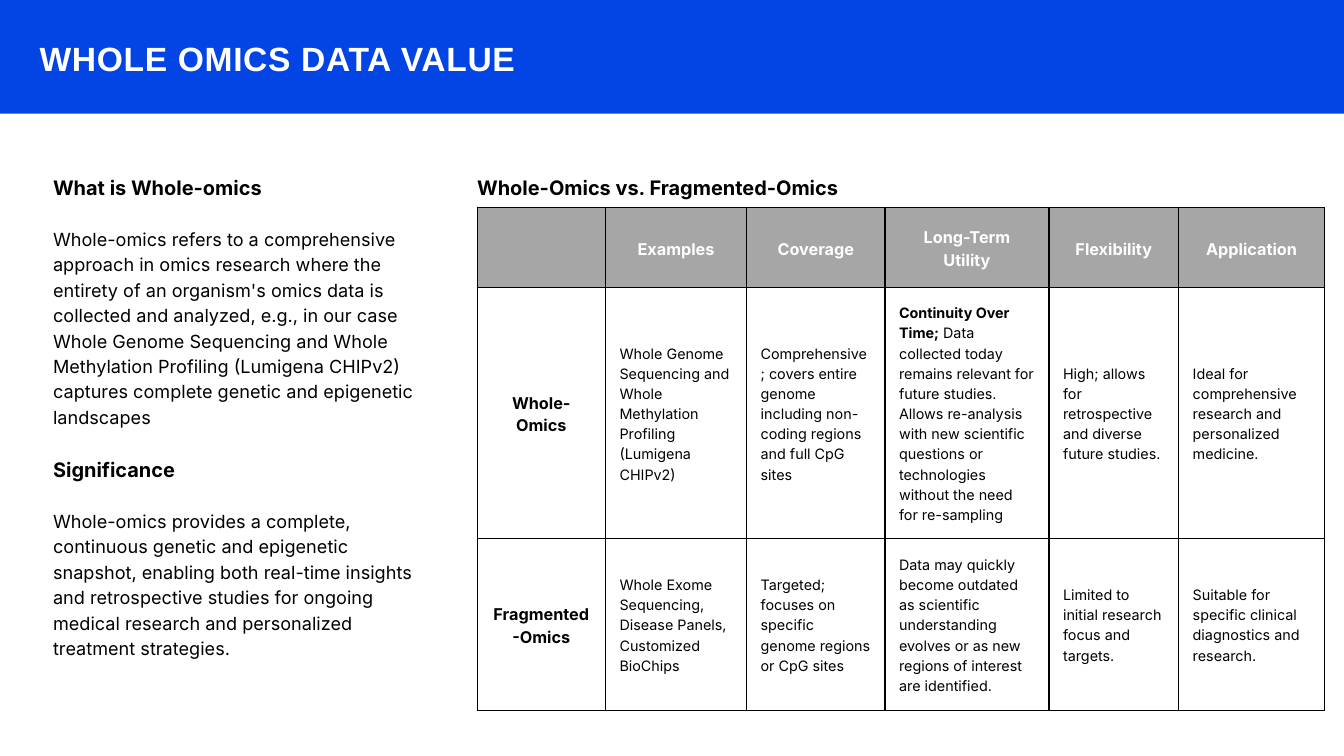
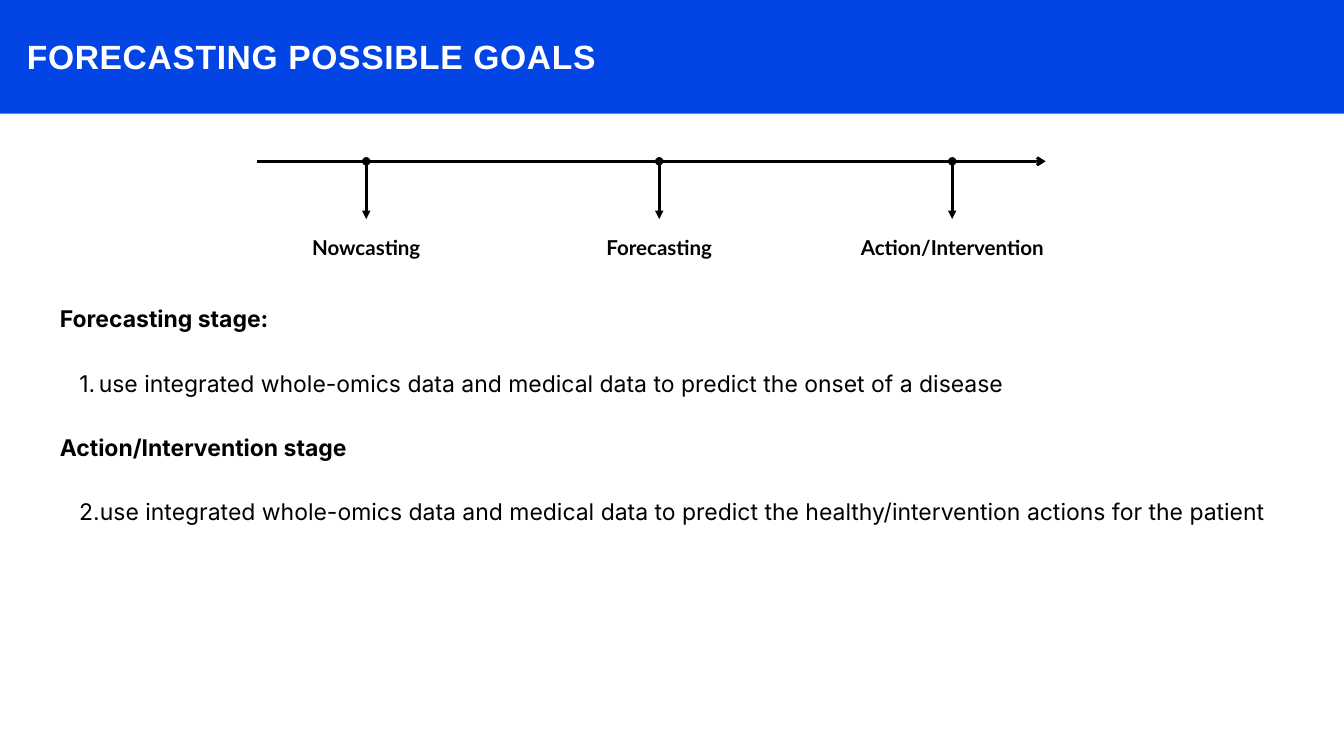
from lxml.etree import SubElement
from pptx import Presentation
from pptx.dml.color import RGBColor
from pptx.enum.shapes import MSO_CONNECTOR as Connector, MSO_SHAPE as Shape
from pptx.enum.text import MSO_ANCHOR as Anchor, MSO_AUTO_SIZE as AutoSize, PP_ALIGN as Align
from pptx.oxml.ns import qn
from pptx.util import Inches, Pt

BLUE, GRAY, BLACK, WHITE = "0345E4", "A6A6A6", "000000", "FFFFFF"
BODY_FONT, TITLE_FONT, LABEL_FONT = "Inter", "Arial", "Lato"


def color(hex_string):
    return RGBColor.from_string(hex_string)


class SlideBuilder:
    def __init__(self, deck):
        self.deck = deck
        self.page = None

    def start(self, title, left, top):
        self.page = self.deck.slides.add_slide(self.deck.slide_layouts[5])
        self.band()
        box = self.page.shapes.title
        box.left, box.top = Inches(left), Inches(top)
        box.width, box.height = Inches(18.83), Inches(0.6)
        frame = self.frame(box)
        span = self.add_runs(frame.paragraphs[0], [(title, True)], 36, 42.8, TITLE_FONT, WHITE)
        span.font._element.set("spc", "70")

    def band(self):
        band = self.page.shapes.add_shape(Shape.RECTANGLE, 0, 0, self.deck.slide_width, Inches(1.69))
        band.shadow.inherit = False
        band.fill.solid()
        band.fill.fore_color.rgb = color(BLUE)
        band.line.fill.background()
        band._element.getparent().insert(2, band._element)

    def frame(self, box):
        frame = box.text_frame
        frame.word_wrap = True
        frame.auto_size = AutoSize.NONE
        frame.vertical_anchor = Anchor.TOP
        frame.margin_left = frame.margin_right = frame.margin_top = frame.margin_bottom = 0
        return frame

    def add_runs(self, para, runs, size, line, font=BODY_FONT, ink=BLACK, align=Align.LEFT):
        para.alignment = align
        para.line_spacing = Pt(line)
        for text, bold in runs:
            span = para.add_run()
            span.text = text
            span.font.name = font
            span.font.size = Pt(size)
            span.font.bold = bold
            span.font.color.rgb = color(ink)
        return span

    def text(self, left, top, width, height, items, gap=0, font=BODY_FONT, align=Align.LEFT):
        box = self.page.shapes.add_textbox(Inches(left), Inches(top), Inches(width), Inches(height))
        frame = self.frame(box)
        for index, (content, bold, size, line) in enumerate(items):
            para = frame.add_paragraph() if index else frame.paragraphs[0]
            if index:
                para.space_before = Pt(gap)
            self.add_runs(para, [(content, bold)], size, line, font, align=align)
        return frame

    def number(self, para, start):
        settings = para._p.get_or_add_pPr()
        settings.set("marL", str(Inches(0.58)))
        settings.set("indent", str(Inches(-0.29)))
        SubElement(settings, qn("a:buAutoNum"), type="arabicPeriod", startAt=str(start))

    def arrow(self, start, end, tail, head=None):
        line = self.page.shapes.add_connector(
            Connector.STRAIGHT, *[Inches(value) for value in (*start, *end)])
        line.line.color.rgb = color(BLACK)
        line.line.width = Pt(3)
        outline = line.line._get_or_add_ln()
        if head:
            SubElement(outline, qn("a:headEnd"), type=head)
        SubElement(outline, qn("a:tailEnd"), type=tail)
        SubElement(line._element.spPr, qn("a:effectLst"))

    def table(self, left, top, widths, heights, rows):
        grid = self.page.shapes.add_table(
            len(rows), len(widths), Inches(left), Inches(top),
            Inches(sum(widths)), Inches(sum(heights))).table
        grid.first_row = grid.horz_banding = False
        for column, width in zip(grid.columns, widths):
            column.width = Inches(width)
        for row, height in zip(grid.rows, heights):
            row.height = Inches(height)
        for row_index, row in enumerate(rows):
            for column_index, content in enumerate(row):
                self.cell(grid.cell(row_index, column_index), content,
                          row_index == 0, column_index == 0)

    def cell(self, cell, content, is_header, is_label):
        cell.vertical_anchor = Anchor.MIDDLE
        cell.margin_left = cell.margin_right = cell.margin_top = cell.margin_bottom = Inches(0.21)
        if is_header:
            cell.fill.solid()
            cell.fill.fore_color.rgb = color(GRAY)
        else:
            cell.fill.background()
        self.borders(cell)
        para = cell.text_frame.paragraphs[0]
        if is_header or is_label:
            if content:
                ink = WHITE if is_header else BLACK
                self.add_runs(para, [(content, True)], 17.4, 24.4, ink=ink, align=Align.CENTER)
        else:
            runs = [(content, False)] if isinstance(content, str) else content
            self.add_runs(para, runs, 15.4, 21.6)

    def borders(self, cell):
        settings = cell._tc.get_or_add_tcPr()
        for index, side in enumerate(("lnL", "lnR", "lnT", "lnB")):
            border = SubElement(settings, qn(f"a:{side}"), w=str(Pt(1.5)))
            SubElement(SubElement(border, qn("a:solidFill")), qn("a:srgbClr"), val=BLACK)
            settings.insert(index, border)


def add_value_slide(builder):
    builder.start("WHOLE OMICS DATA VALUE", 0.59, 0.57)
    builder.table(7.1, 3.09, [1.91, 2.1, 2.06, 2.44, 1.93, 2.17], [1.19, 3.73, 2.56], [
        ["", "Examples", "Coverage", "Long-Term Utility", "Flexibility", "Application"],
        ["Whole-Omics",
         "Whole Genome Sequencing and Whole Methylation Profiling (Lumigena CHIPv2)",
         "Comprehensive; covers entire genome including non-coding regions and full CpG sites",
         [("Continuity Over Time;", True),
          (" Data collected today remains relevant for future studies. Allows re-analysis with "
           "new scientific questions or technologies without the need for re-sampling", False)],
         "High; allows for retrospective and diverse future studies.",
         "Ideal for comprehensive research and personalized medicine."],
        ["Fragmented-Omics",
         "Whole Exome Sequencing, Disease Panels, Customized BioChips",
         "Targeted; focuses on specific genome regions or CpG sites",
         "Data may quickly become outdated as scientific understanding evolves or as new "
         "regions of interest are identified.",
         "Limited to initial research focus and targets.",
         "Suitable for specific clinical diagnostics and research."],
    ])
    heading, body = (True, 21.4, 30), (False, 19.4, 27.2)
    builder.text(0.79, 2.55, 5.66, 7.2, [
        ("What is Whole-omics", *heading),
        ("Whole-omics refers to a comprehensive approach in omics research where the entirety of "
         "an organism's omics data is collected and analyzed, e.g., in our case Whole Genome "
         "Sequencing and Whole Methylation Profiling (Lumigena CHIPv2) captures complete genetic "
         "and epigenetic landscapes", *body),
        ("Significance", *heading),
        ("Whole-omics provides a complete, continuous genetic and epigenetic snapshot, enabling "
         "both real-time insights and retrospective studies for ongoing medical research and "
         "personalized treatment strategies.", *body),
    ], gap=27.2)
    builder.text(7.1, 2.55, 7.49, 0.41, [("Whole-Omics vs. Fragmented-Omics", *heading)])


def add_goals_slide(builder):
    builder.start("FORECASTING POSSIBLE GOALS", 0.4, 0.54)
    heading, body = (True, 24.6, 34.4), (False, 24.6, 34.4)
    frame = builder.text(0.89, 4.47, 18.23, 3.74, [
        ("Forecasting stage:", *heading),
        ("use integrated whole-omics data and medical data to predict the onset of a disease", *body),
        ("Action/Intervention stage", *heading),
        ("use integrated whole-omics data and medical data to predict the healthy/intervention "
         "actions for the patient", *body),
    ], gap=34.4, align=Align.JUSTIFY)
    for start, para in enumerate(frame.paragraphs[1::2], 1):
        builder.number(para, start)

    axis_top, first_stage, stage_step = 2.4, 5.45, 4.36
    builder.arrow((3.82, axis_top), (15.56, axis_top), "arrow")
    stages = [("Nowcasting", 1.75), ("Forecasting", 1.75), ("Action/Intervention", 2.99)]
    for index, (stage, width) in enumerate(stages):
        center = first_stage + index * stage_step
        builder.arrow((center, axis_top), (center, 3.26), "triangle", "oval")
        builder.text(center - width / 2, 3.43, width, 0.41, [(stage, True, 22, 30.8)],
                     font=LABEL_FONT, align=Align.CENTER)


def main():
    deck = Presentation()
    deck.slide_width, deck.slide_height = Inches(20), Inches(11.25)
    builder = SlideBuilder(deck)
    add_value_slide(builder)
    add_goals_slide(builder)
    deck.save("out.pptx")


if __name__ == "__main__":
    main()
